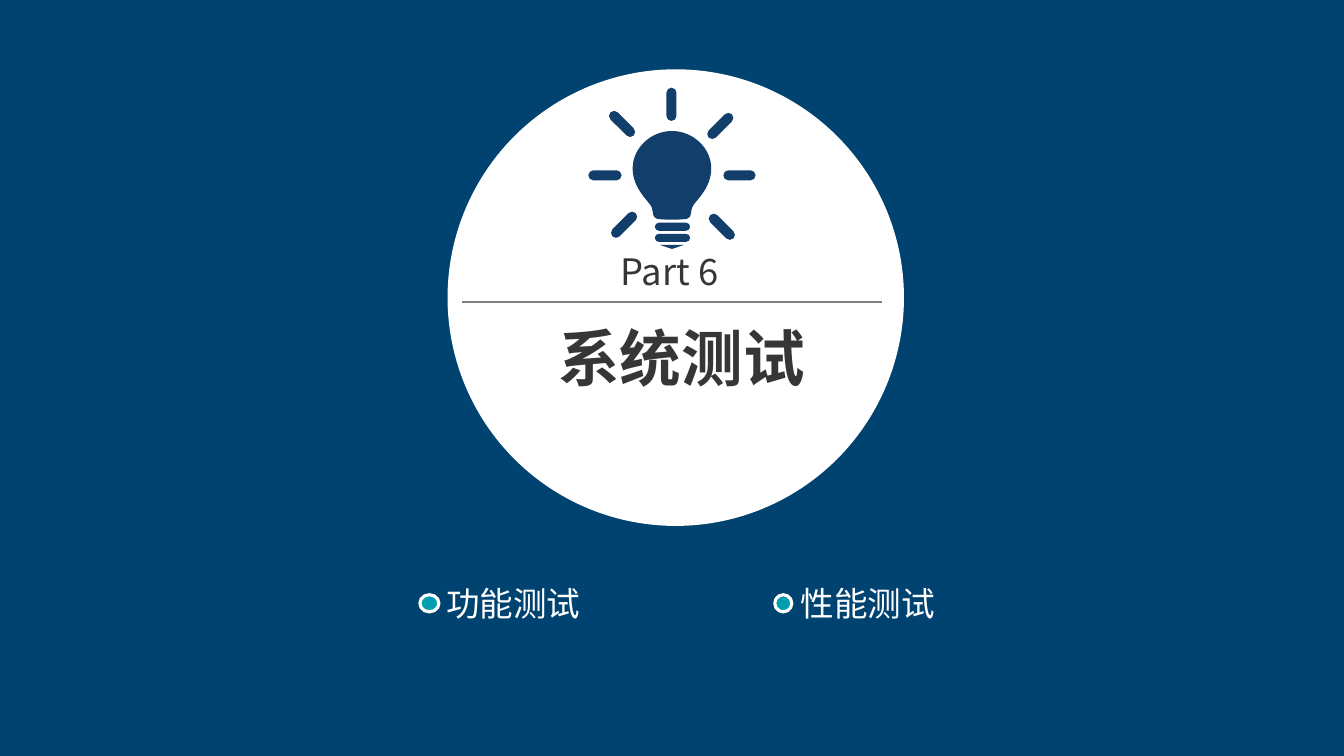
import math
from dataclasses import dataclass, field

import lxml.etree
import pptx
import pptx.dml.color
import pptx.enum.shapes
import pptx.enum.text
import pptx.oxml.ns
import pptx.util

Pt = pptx.util.Pt
qn = pptx.oxml.ns.qn
KIND = pptx.enum.shapes.MSO_SHAPE
GROW = pptx.enum.text.MSO_AUTO_SIZE.SHAPE_TO_FIT_TEXT
WIDE, HIGH = pptx.util.Inches(13.34), pptx.util.Inches(7.5)
UNIT = HIGH / 750  # bulb unit
FACE = "Noto Sans CJK SC"
WHITE, TEAL, NAVY, DARK = "FFFFFF", "009EB0", "003366", "363636"
Point = tuple[float, float]
Piece = tuple[Point, ...]  # one point: move or line; three: curve


@dataclass
class Box:
    """Left, top, width and height in percent of the slide."""
    left: float
    top: float
    width: float
    height: float

    def emu(self) -> list[int]:
        pairs = ((self.left, WIDE), (self.top, HIGH), (self.width, WIDE), (self.height, HIGH))
        return [round(share * full / 100) for share, full in pairs]


@dataclass
class Form:
    kind: int
    box: Box
    fill: str
    edge: str = ""
    alpha: int = 100


@dataclass
class Label:
    text: str
    box: Box
    size: int
    tint: str
    bold: bool = False
    center: bool = False
    frame: dict = field(default_factory=lambda: {"word_wrap": True, "auto_size": GROW})


TIGHT = {"word_wrap": False, "auto_size": GROW, "margin_left": 0, "margin_top": 0,
         "margin_right": 0, "margin_bottom": 0}
BACK = [
    Form(KIND.RECTANGLE, Box(0, 0, 100, 100), NAVY, alpha=86),
    Form(KIND.OVAL, Box(33.3, 9.17, 33.96, 60.4), WHITE),
]
DOTS = [
    Form(KIND.OVAL, Box(31.24, 78.67, 1.42, 2.27), TEAL, WHITE),
    Form(KIND.OVAL, Box(57.65, 78.67, 1.27, 2.27), TEAL, WHITE),
]
HEADS = [
    Label("系统测试", Box(37.71, 41.6, 26.01, 11.2), 44, DARK, True, True),
    Label("Part 6", Box(46.18, 32.93, 7.65, 5.87), 26, DARK, frame=TIGHT),
]
TOPICS = [
    Label("功能测试", Box(32.46, 76.4, 23.46, 6.67), 24, WHITE),
    Label("性能测试", Box(58.85, 76.4, 21.81, 6.8), 24, WHITE),
]
# Right half of the bulb, from top to foot
GLASS = [(0, -44), (21, -44), (39, -27), (39, -7), (39, 14), (22, 26), (20, 32),
         (18, 38), (20, 41), (15, 43), (11, 44), (0, 44), (0, 44)]
TIP = [((-12, 69),), ((12, 69),), ((0, 73),)]
BANDS = [((-13, y), (14, y)) for y in (51, 62)]
RAYS = [
    ((56, 0), (78, 0)), ((-55, 0), (-78, 0)), ((-0.5, -59), (-0.5, -82)),
    ((40, -41), (56, -57)), ((-41.5, -43), (-57.5, -59)),
    ((-39.5, 41), (-55.5, 57)), ((41.5, 43), (57.5, 59)),
]


def paint(fill, tint: str) -> None:
    fill.solid()
    fill.fore_color.rgb = pptx.dml.color.RGBColor.from_string(tint)


def draw_form(slide, form: Form) -> None:
    shape = slide.shapes.add_shape(form.kind, *form.box.emu())
    shape.shadow.inherit = False
    paint(shape.fill, form.fill)
    if form.edge:
        paint(shape.line.fill, form.edge)
        shape.line.width = Pt(2.25)
    else:
        shape.line.fill.background()
    if form.alpha < 100:
        tone = next(shape._element.spPr.iter(qn("a:srgbClr")))
        lxml.etree.SubElement(tone, qn("a:alpha"), val=str(form.alpha * 1000))


def draw_label(slide, label: Label) -> None:
    frame = slide.shapes.add_textbox(*label.box.emu()).text_frame
    for name, value in label.frame.items():
        setattr(frame, name, value)
    para = frame.paragraphs[0]
    if label.center:
        para.alignment = pptx.enum.text.PP_ALIGN.CENTER
    run = para.add_run()
    run.text = label.text
    for name, value in {"size": Pt(label.size), "bold": label.bold, "name": FACE}.items():
        setattr(run.font, name, value)
    paint(run.font.fill, label.tint)
    lxml.etree.SubElement(run._r.get_or_add_rPr(), qn("a:ea"), typeface=FACE)


def draw_rule(slide) -> None:
    left, top, width, _ = Box(34.41, 39.95, 31.18, 0).emu()
    rule = slide.shapes.add_connector(
        pptx.enum.shapes.MSO_CONNECTOR.STRAIGHT, left, top, left + width, top)
    paint(rule.line.fill, "808080")
    rule.line.width = Pt(1)
    lxml.etree.SubElement(rule._element.spPr, qn("a:effectLst"))


def pill(start: Point, end: Point, radius: float) -> list[Piece]:
    """Outline of a bar with round ends, two quarter curves to an end."""
    span = math.dist(start, end)
    ux, uy = ((b - a) / span * radius for a, b in zip(start, end))

    def spot(base: Point, along: float, side: float) -> Point:
        return base[0] + along * ux - side * uy, base[1] + along * uy + side * ux

    pieces = []
    for base, way in ((end, 1), (start, -1)):
        pieces += [(spot(base, 0, -way),)]
        for arc in (((0.55, -1), (1, -0.55), (1, 0)), ((1, 0.55), (0.55, 1), (0, 1))):
            pieces.append(tuple(spot(base, way * a, way * s) for a, s in arc))
    return pieces


def bend(shape, pieces: list[Piece]) -> None:
    """Turn each run of three lines that stands for a curve into that curve."""
    lines = iter(list(shape._element.iter(qn("a:lnTo"))))
    for piece in pieces:
        group = [next(lines) for _ in piece]
        if len(group) == 3:
            curve = lxml.etree.Element(qn("a:cubicBezTo"))
            group[0].addprevious(curve)
            for line in group:
                curve.append(line[0])
                line.getparent().remove(line)


def draw_bulb(slide) -> None:
    ring = GLASS + [(-x, y) for x, y in reversed(GLASS[:-1])]
    glass = [(ring[0],)] + [tuple(ring[i:i + 3]) for i in range(1, len(ring), 3)]
    bands = [pill(*band, 4) for band in BANDS]
    rays = [pill(*ray, 5) for ray in RAYS]
    loops = [glass, *bands, TIP, *rays]
    pen = slide.shapes.build_freeform()
    for loop in loops:
        points = [(x * UNIT, y * UNIT) for piece in loop for x, y in piece]
        pen.move_to(*points[0])
        pen.add_line_segments(points[1:], close=True)
    left, top, _, _ = Box(50, 23.2, 0, 0).emu()
    bulb = pen.convert_to_shape(left, top)
    bend(bulb, [piece for loop in loops for piece in loop[1:]])
    bulb.shadow.inherit = False
    paint(bulb.fill, "113E6A")
    bulb.line.fill.background()


def main() -> None:
    deck = pptx.Presentation()
    deck.slide_width, deck.slide_height = WIDE, HIGH
    slide = deck.slides.add_slide(deck.slide_layouts[6])
    paint(slide.background.fill, TEAL)
    for form in BACK:
        draw_form(slide, form)
    draw_rule(slide)
    for label in HEADS:
        draw_label(slide, label)
    draw_bulb(slide)
    for form in DOTS:
        draw_form(slide, form)
    for label in TOPICS:
        draw_label(slide, label)
    deck.save("out.pptx")


if __name__ == "__main__":
    main()
